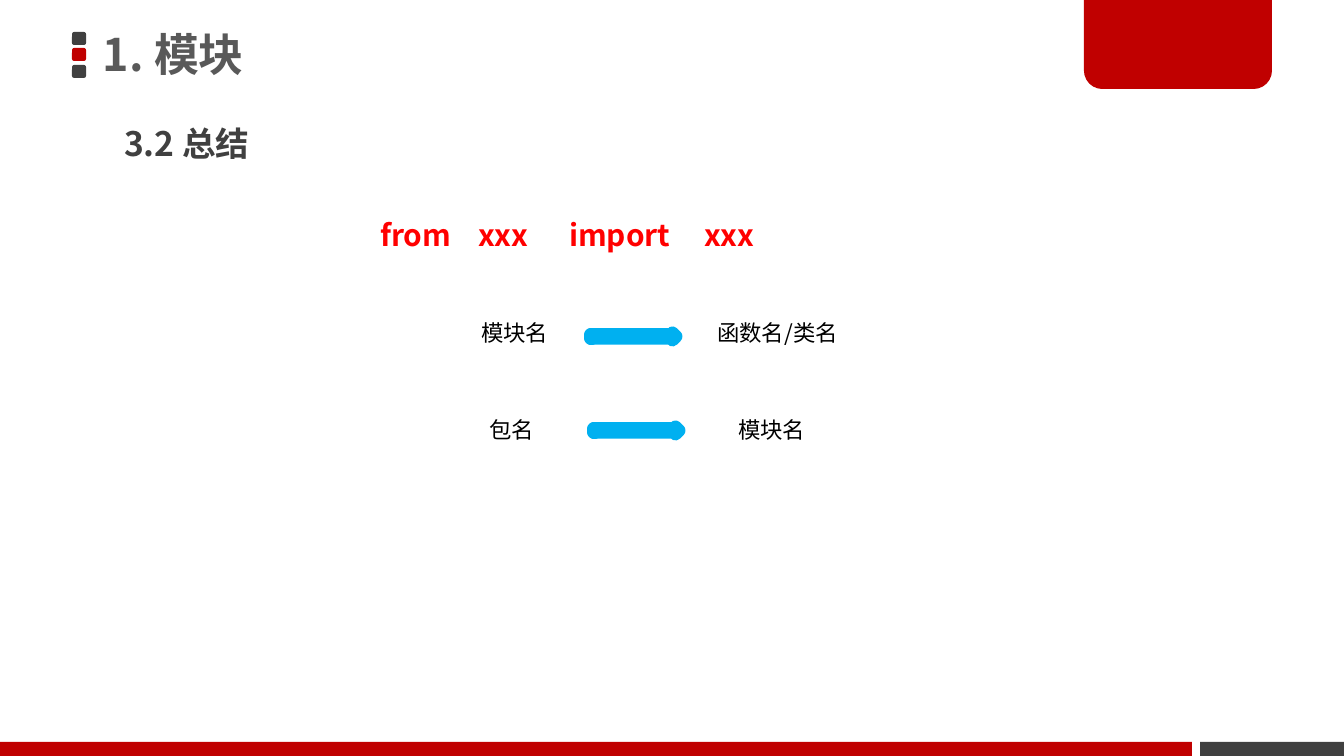
from dataclasses import dataclass

import lxml.etree
import pptx
import pptx.dml.color
import pptx.enum.shapes
import pptx.enum.text
import pptx.oxml.ns
import pptx.util

SCALE = 914400 / 134.4
FONT = "Noto Sans CJK SC"
RED, DARK, BLUE = "C00000", "404040", "00B0F0"
MSO = pptx.enum.shapes.MSO_SHAPE
qn = pptx.oxml.ns.qn


@dataclass
class Block:
    x: int
    y: int
    w: int
    h: int
    color: str
    kind: int = MSO.RECTANGLE
    adjustments: tuple[float, ...] = ()


@dataclass
class Label:
    text: str
    x: int
    y: int
    w: int
    h: int
    size: int = 12
    color: str = "000000"
    bold: bool = False
    tabs: tuple[int, ...] = ()


def px(n: int) -> int:
    return round(n * SCALE)


def rgb(color: str):
    return pptx.dml.color.RGBColor.from_string(color)


def add_block(s, b: Block):
    sp = s.shapes.add_shape(b.kind, px(b.x), px(b.y), px(b.w), px(b.h))
    sp.shadow.inherit = False
    for i, value in enumerate(b.adjustments):
        sp.adjustments[i] = value
    sp.fill.solid()
    sp.fill.fore_color.rgb = rgb(b.color)
    sp.line.fill.background()
    return sp


def add_label(s, label: Label):
    sp = s.shapes.add_textbox(px(label.x), px(label.y), px(label.w), px(label.h))
    tf = sp.text_frame
    tf.word_wrap = True
    p = tf.paragraphs[0]
    r = p.add_run()
    r.text = label.text
    r.font.size = pptx.util.Pt(label.size)
    r.font.bold = label.bold
    r.font.name = FONT
    r.font.color.rgb = rgb(label.color)
    lxml.etree.SubElement(r._r.get_or_add_rPr(), qn("a:ea"), typeface=FONT)
    if label.tabs:
        tab_list = lxml.etree.SubElement(p._p.get_or_add_pPr(), qn("a:tabLst"))
        for tab in label.tabs:
            lxml.etree.SubElement(tab_list, qn("a:tab"), pos=str(px(tab)), algn="l")
    return sp


def add_arrow(s, x: int, y: int):
    sp = s.shapes.add_shape(MSO.STRIPED_RIGHT_ARROW, px(x), px(y), px(85), px(7))
    sp.shadow.inherit = False
    sp.fill.background()
    sp.line.color.rgb = rgb(BLUE)
    sp.line.width = pptx.util.Pt(7)
    return sp


def main():
    prs = pptx.Presentation()
    prs.slide_width, prs.slide_height = px(1344), px(756)
    s = prs.slides.add_slide(prs.slide_layouts[6])

    for i, color in enumerate((DARK, RED, DARK)):
        add_block(s, Block(72, 32 + 16 * i + i // 2, 14, 13, color,
                           MSO.ROUNDED_RECTANGLE, (0.17,)))
    add_block(s, Block(1200, 742, 144, 14, DARK))
    add_block(s, Block(1084, -3, 188, 92, RED,
                       MSO.ROUND_2_SAME_RECTANGLE, (0, 0.2)))
    add_block(s, Block(0, 742, 1192, 14, RED))

    title = add_label(s, Label("1. 模块", 93, -3, 792, 120, 24, "595959", True))
    tf = title.text_frame
    tf.vertical_anchor = pptx.enum.text.MSO_ANCHOR.MIDDLE
    tf.margin_left = tf.margin_right = px(10)
    tf.margin_top = tf.margin_bottom = px(5)
    tf.paragraphs[0].line_spacing = 0.9

    labels = (
        Label("3.2 总结", 111, 116, 516, 54, 18, DARK, True),
        Label("from\txxx\timport\txxx", 367, 210, 523, 51, 16, "FF0000", True,
              (98, 189, 324)),
        Label("函数名/类名", 704, 313, 149, 40),
        Label("模块名", 468, 313, 96, 40),
        Label("模块名", 725, 410, 96, 40),
        Label("包名", 476, 410, 73, 40),
    )
    for label in labels:
        add_label(s, label)

    for x, y in ((591, 333), (594, 427)):
        add_arrow(s, x, y)

    prs.save("out.pptx")


if __name__ == "__main__":
    main()
